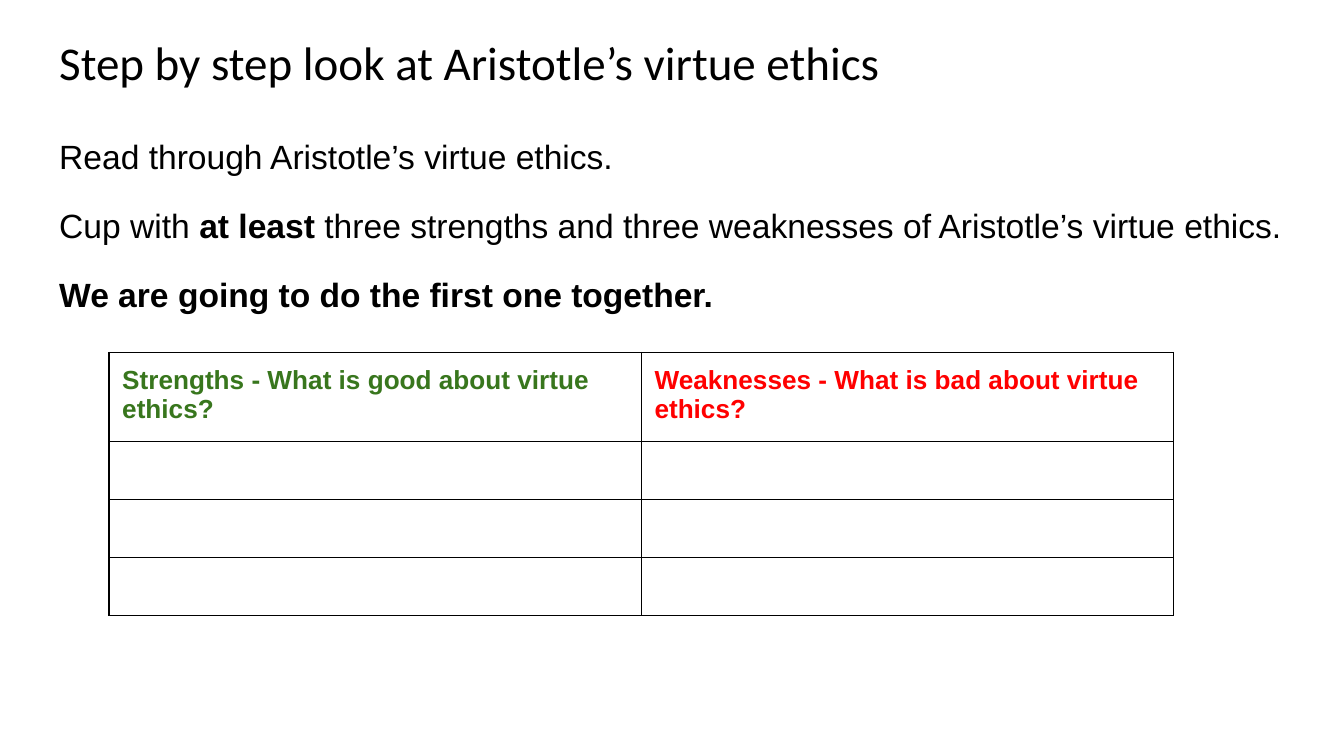
from dataclasses import dataclass

from lxml.etree import SubElement
from pptx import Presentation
from pptx.dml.color import RGBColor as RGB
from pptx.oxml.ns import qn
from pptx.util import Cm, Pt


@dataclass(frozen=True)
class Theme:
    text: RGB = RGB(0x00, 0x00, 0x00)
    strength: RGB = RGB(0x38, 0x76, 0x1D)
    weakness: RGB = RGB(0xFF, 0x00, 0x00)
    border: str = "000000"
    title_font: str = "Calibri"
    body_font: str = "Arial"
    title_size: Pt = Pt(25.2)
    body_size: Pt = Pt(18)
    table_size: Pt = Pt(14)
    border_width: Pt = Pt(0.75)
    inset: Cm = Cm(0.25)


theme = Theme()


def set_font(p, name, size, color):
    p.font.name = name
    p.font.size = size
    p.font.color.rgb = color


def add_text_box(s, top, height):
    tf = s.shapes.add_textbox(Cm(0.87), top, Cm(23.67), height).text_frame
    tf.word_wrap = True
    tf.margin_left = tf.margin_right = theme.inset
    tf.margin_top = tf.margin_bottom = theme.inset
    return tf


prs = Presentation()
prs.slide_width, prs.slide_height = Cm(25.4), Cm(14.29)
s = prs.slides.add_slide(prs.slide_layouts[6])

# Title
p = add_text_box(s, Cm(0.38), Cm(1.6)).paragraphs[0]
p.text = "Step by step look at Aristotle’s virtue ethics"
set_font(p, theme.title_font, theme.title_size, theme.text)

# Instructions: each paragraph is a list of (text, bold) runs
instructions = [
    [("Read through Aristotle’s virtue ethics.", False)],
    [("Cup with ", False), ("at least ", True),
     ("three strengths and three weaknesses of Aristotle’s virtue ethics.", False)],
    [("We are going to do the first one together.", True)],
]
tf = add_text_box(s, Cm(2.21), Cm(9.88))
for i, runs in enumerate(instructions):
    p = tf.add_paragraph() if i else tf.paragraphs[0]
    set_font(p, theme.body_font, theme.body_size, theme.text)
    p.line_spacing = 1.15
    p.space_before = Pt(12 if i else 0)
    for text, bold in runs:
        r = p.add_run()
        r.text = text
        r.font.bold = bold

# Table of strengths and weaknesses
headers = [
    ("Strengths - What is good about virtue ethics?", theme.strength),
    ("Weaknesses - What is bad about virtue ethics?", theme.weakness),
]
row_heights = [Cm(1.63)] + [Cm(1.06)] * 3
table = s.shapes.add_table(len(row_heights), len(headers), Cm(2.06), Cm(6.66),
                           Cm(20.12), sum(row_heights)).table
table.horz_banding = False
for row, height in zip(table.rows, row_heights):
    row.height = height
    for cell, (header, color) in zip(row.cells, headers):
        cell.margin_left = cell.margin_right = theme.inset
        cell.margin_top = cell.margin_bottom = theme.inset
        p = cell.text_frame.paragraphs[0]
        set_font(p, theme.body_font, theme.table_size, color)
        if row is table.rows[0] or height == row_heights[0]:
            p.text = header
            p.font.bold = True
        else:
            # Blank cells take their line height from the end mark
            SubElement(p._p, qn("a:endParaRPr"), sz=str(int(theme.table_size.pt * 100)))

        # Borders come before the fill in the cell properties
        tcPr = cell._tc.get_or_add_tcPr()
        for side in ("a:lnL", "a:lnR", "a:lnT", "a:lnB"):
            ln = SubElement(tcPr, qn(side), w=str(theme.border_width))
            fill = SubElement(ln, qn("a:solidFill"))
            SubElement(fill, qn("a:srgbClr"), val=theme.border)
        cell.fill.background()

prs.save("out.pptx")
